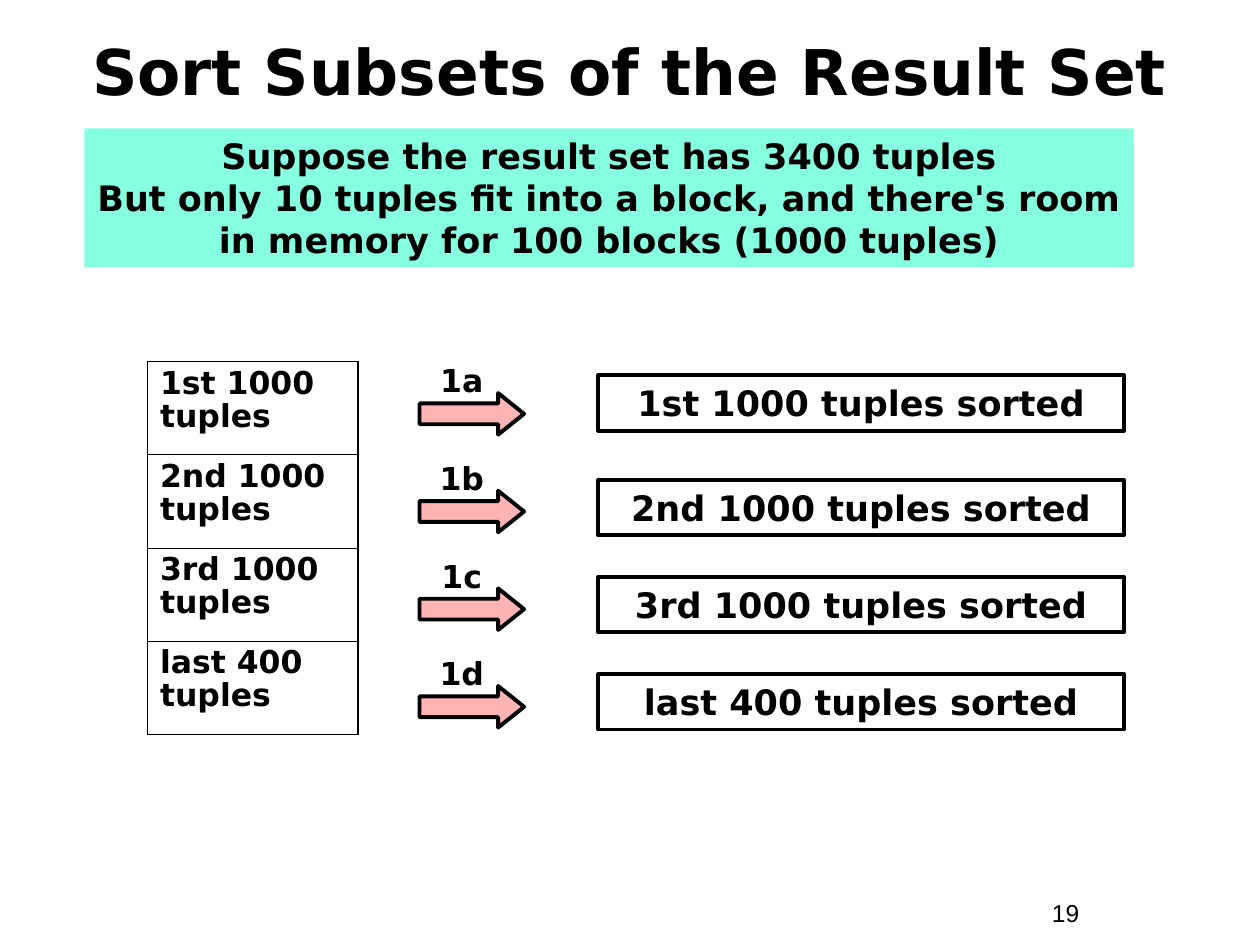
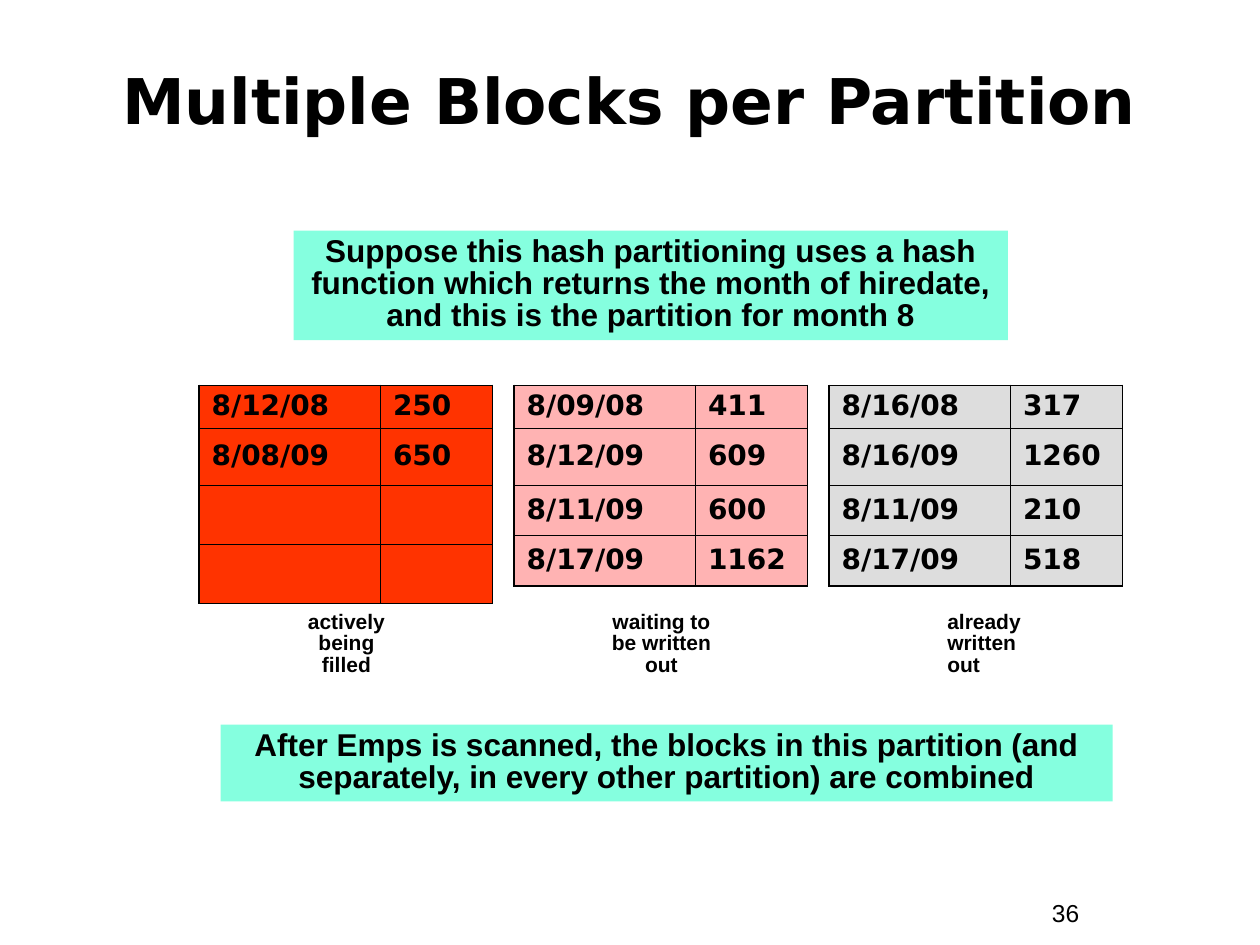
import pptx
import pptx.dml.color
import pptx.enum.shapes
import pptx.enum.text
import pptx.oxml
import pptx.oxml.ns
import pptx.util
from dataclasses import dataclass

Inches = pptx.util.Inches
Pt = pptx.util.Pt
Align = pptx.enum.text.PP_ALIGN
Anchor = pptx.enum.text.MSO_ANCHOR
Shape = pptx.enum.shapes.MSO_SHAPE


@dataclass(frozen=True)
class Theme:
    ink: str = "000000"
    mint: str = "85FFDF"
    pink: str = "FFB3B3"
    red: str = "FF3300"
    grey: str = "DDDDDD"
    wide_font: str = "DejaVu Sans"
    plain_font: str = "Arial"
    title_size: float = 36
    lead_size: float = 20
    body_size: float = 18
    data_size: float = 16
    number_size: float = 14
    caption_size: float = 12
    box_line: float = 2.25
    outer_border: float = 1.08
    inner_border: float = 0.45


def rgb(color):
    return pptx.dml.color.RGBColor.from_string(color)


class SlideBuilder:
    def __init__(self, deck, theme):
        self.deck = deck
        self.theme = theme
        self.page = None

    def start_slide(self, title, title_top, number):
        self.page = self.deck.slides.add_slide(self.deck.slide_layouts[6])
        self.label((0.33, title_top, 9.33, 0.92), title, self.theme.title_size,
                   anchor=Anchor.MIDDLE)
        self.label((8.25, 7.08, 0.92, 0.34), number, self.theme.number_size,
                   font=self.theme.plain_font, bold=False, align=Align.LEFT)

    def set_text(self, frame, text, size, font=None, bold=True,
                 align=Align.CENTER, spacing=None):
        para = frame.paragraphs[0]
        para.text = text
        para.alignment = align
        para.line_spacing = spacing
        para.font.name = font or self.theme.wide_font
        para.font.size = Pt(size)
        para.font.bold = bold
        para.font.color.rgb = rgb(self.theme.ink)

    def label(self, place, text, size, anchor=Anchor.TOP, **style):
        box = self.page.shapes.add_textbox(*map(Inches, place))
        box.text_frame.word_wrap = True
        box.text_frame.vertical_anchor = anchor
        self.set_text(box.text_frame, text, size, **style)

    def shape(self, kind, place, fill=None, outlined=True):
        shape = self.page.shapes.add_shape(kind, *map(Inches, place))
        shape.shadow.inherit = False
        if fill:
            shape.fill.solid()
            shape.fill.fore_color.rgb = rgb(fill)
        else:
            shape.fill.background()
        if outlined:
            shape.line.color.rgb = rgb(self.theme.ink)
            shape.line.width = Pt(self.theme.box_line)
        else:
            shape.line.fill.background()
        return shape

    def text_box(self, place, text, size, fill=None, outlined=True, **style):
        box = self.shape(Shape.RECTANGLE, place, fill, outlined)
        box.text_frame.word_wrap = True
        box.text_frame.vertical_anchor = Anchor.TOP
        self.set_text(box.text_frame, text, size, **style)

    def banner(self, place, text, size, **style):
        self.text_box(place, text, size, self.theme.mint, False, **style)

    def arrow(self, place):
        arrow = self.shape(Shape.RIGHT_ARROW, place, self.theme.pink)
        arrow.adjustments[0] = 0.5
        arrow.adjustments[1] = 0.625

    def borders(self, cell, first, last):
        outer, inner = self.theme.outer_border, self.theme.inner_border
        widths = {"L": outer, "R": outer,
                  "T": outer if first else inner,
                  "B": outer if last else inner}
        properties = cell._tc.get_or_add_tcPr()
        for side, width in widths.items():
            properties.append(pptx.oxml.parse_xml(
                f'<a:ln{side} {pptx.oxml.ns.nsdecls("a")} w="{Pt(width)}">'
                f'<a:solidFill><a:srgbClr val="{self.theme.ink}"/></a:solidFill>'
                f'</a:ln{side}>'))

    def table(self, left, top, widths, heights, rows, size,
              fill=None, anchor=Anchor.MIDDLE):
        place = (left, top, sum(widths), sum(heights))
        table = self.page.shapes.add_table(
            len(rows), len(widths), *map(Inches, place)).table
        table.first_row = table.horz_banding = False
        for column, width in zip(table.columns, widths):
            column.width = Inches(width)
        for index, (height, texts) in enumerate(zip(heights, rows)):
            table.rows[index].height = Inches(height)
            for cell, text in zip(table.rows[index].cells, texts):
                self.borders(cell, index == 0, index == len(rows) - 1)
                if fill:
                    cell.fill.solid()
                    cell.fill.fore_color.rgb = rgb(fill)
                else:
                    cell.fill.background()
                cell.vertical_anchor = anchor
                self.set_text(cell.text_frame, text, size,
                              align=Align.LEFT, spacing=0.9)


def sort_slide(builder):
    theme = builder.theme
    builder.start_slide("Sort Subsets of the Result Set", 0.1, "19")
    builder.banner(
        (0.67, 1.02, 8.33, 1.1),
        "Suppose the result set has 3400 tuples\nBut only 10 tuples fit into "
        "a block, and there's room in memory for 100 blocks (1000 tuples)",
        theme.lead_size)

    # Unsorted subsets
    subsets = ["1st 1000 tuples", "2nd 1000 tuples",
               "3rd 1000 tuples", "last 400 tuples"]
    builder.table(1.17, 2.87, [1.67], [0.74] * 4,
                  [[subset] for subset in subsets],
                  theme.body_size, anchor=Anchor.TOP)

    # One sorting step per subset
    sorted_tops = [2.98, 3.81, 4.58, 5.35]
    for index, (subset, sorted_top) in enumerate(zip(subsets, sorted_tops)):
        arrow_top = 3.12 + 0.31 * index * 2.5
        builder.text_box((4.75, sorted_top, 4.17, 0.44), f"{subset} sorted",
                         theme.lead_size)
        builder.arrow((3.33, arrow_top, 0.83, 0.33))
        builder.label((3.25, arrow_top - 0.3, 0.83, 0.4),
                      f"1{'abcd'[index]}", theme.body_size)


def partition_slide(builder):
    theme = builder.theme
    builder.start_slide("Multiple Blocks per Partition", 0.33, "36")
    note_style = {"font": theme.plain_font, "spacing": 0.85}

    # Blocks: fill, height of the last two rows, rows
    blocks = [
        (theme.red, 0.47, [("8/12/08", "250"), ("8/08/09", "650"),
                           ("", ""), ("", "")]),
        (theme.pink, 0.4, [("8/09/08", "411"), ("8/12/09", "609"),
                           ("8/11/09", "600"), ("8/17/09", "1162")]),
        (theme.grey, 0.4, [("8/16/08", "317"), ("8/16/09", "1260"),
                           ("8/11/09", "210"), ("8/17/09", "518")]),
    ]
    for index, (fill, low_height, rows) in enumerate(blocks):
        builder.table(1.58 + 2.5 * index, 3.06, [1.44, 0.89],
                      [0.34, 0.45, low_height, low_height], rows,
                      theme.data_size, fill)

    # Block states
    states = [(2.25, 1, "actively being\nfilled", Align.CENTER),
              (4.75, 1, "waiting to be written out", Align.CENTER),
              (7.42, 0.87, "already\nwritten\nout", Align.LEFT)]
    for left, width, state, align in states:
        builder.label((left, 4.81, width, 0.61), state, theme.caption_size,
                      align=align, **note_style)

    # Explanations
    builder.banner(
        (2.33, 1.83, 5.67, 0.87),
        "Suppose this hash partitioning uses a hash function which returns "
        "the month of hiredate, and this is the partition for month 8",
        theme.body_size, **note_style)
    builder.banner(
        (1.75, 5.75, 7.08, 0.61),
        "After Emps is scanned, the blocks in this partition (and "
        "separately, in every other partition) are combined",
        theme.body_size, **note_style)


def main():
    deck = pptx.Presentation()
    deck.slide_width = Inches(10)
    deck.slide_height = Inches(7.5)
    builder = SlideBuilder(deck, Theme())
    sort_slide(builder)
    partition_slide(builder)
    deck.save("out.pptx")


if __name__ == "__main__":
    main()
